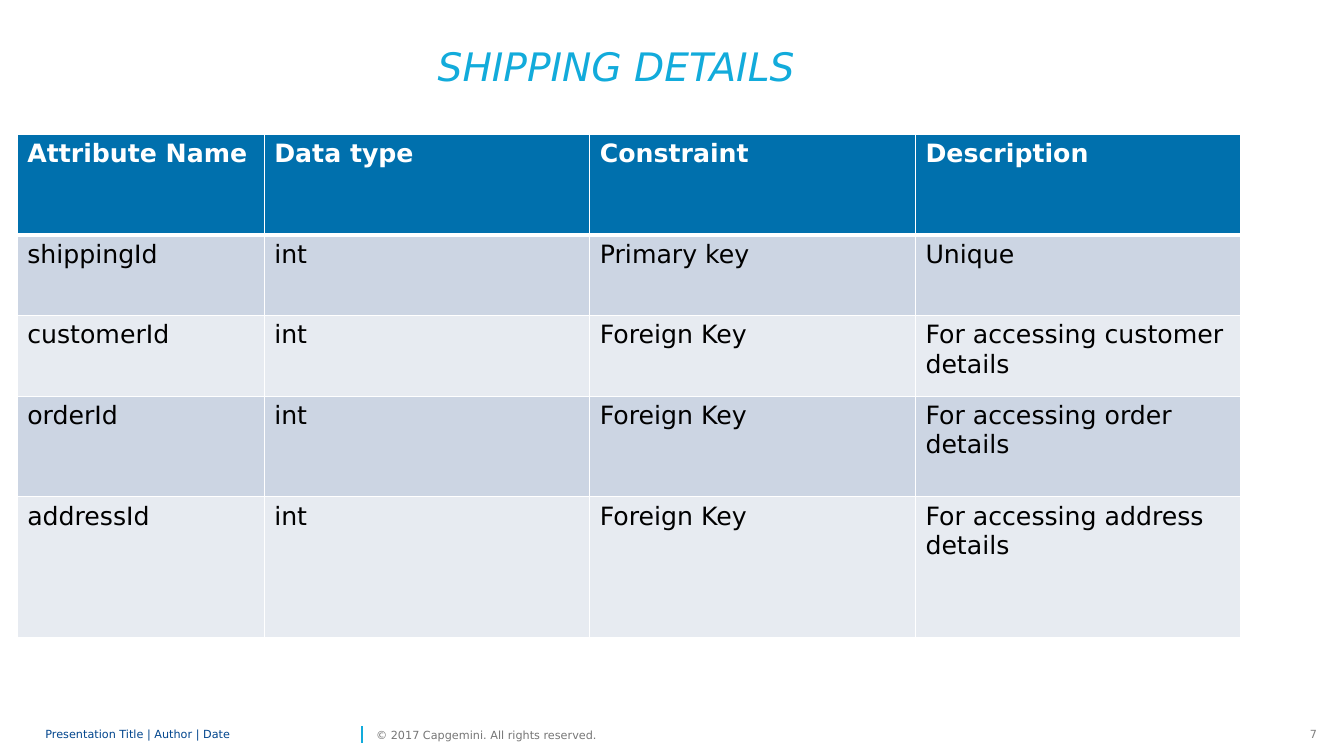
from dataclasses import dataclass, field

from lxml.etree import SubElement
from pptx import Presentation
from pptx.dml.color import RGBColor
from pptx.enum.shapes import MSO_CONNECTOR
from pptx.enum.text import MSO_ANCHOR, PP_ALIGN
from pptx.oxml import parse_xml
from pptx.oxml.ns import nsdecls, qn
from pptx.util import Inches, Pt

WIDE, HIGH = Inches(13.33), Inches(7.5)
FACE = "DejaVu Sans"
HUES = {
    "sky": "12ABDB", "navy": "00458D", "gray": "808080", "ash": "767676",
    "head": "0070AD", "odd": "CCD5E3", "even": "E7EBF1",
    "white": "FFFFFF", "black": "000000",
}
BARE = dict.fromkeys(
    ("margin_left", "margin_right", "margin_top", "margin_bottom"), 0)

COLS = (18.38, 24.23, 24.23, 24.23)
ROWS = (13.33, 10.67, 10.67, 13.33, 18.67)
DATA = (
    ("Attribute Name", "Data type", "Constraint", "Description"),
    ("shippingId", "int", "Primary key", "Unique"),
    ("customerId", "int", "Foreign Key", "For accessing customer\ndetails"),
    ("orderId", "int", "Foreign Key", "For accessing order\ndetails"),
    ("addressId", "int", "Foreign Key", "For accessing address\ndetails"),
)


@dataclass(frozen=True)
class Box:
    x: float
    y: float
    w: float
    h: float

    def place(self) -> tuple[int, int, int, int]:
        return across(self.x), down(self.y), across(self.w), down(self.h)


@dataclass(frozen=True)
class Label:
    text: str
    box: Box
    hue: str
    size: float = 8
    frame: dict = field(default_factory=dict)
    para: dict = field(default_factory=dict)
    font: dict = field(default_factory=dict)


TITLE = Label(
    "SHIPPING DETAILS", Box(23.11, 7.73, 45.46, 6.4), "sky", 28,
    {**BARE, "vertical_anchor": MSO_ANCHOR.TOP, "word_wrap": True},
    {"alignment": PP_ALIGN.CENTER, "line_spacing": Pt(22),
     "space_before": Pt(0), "space_after": Pt(6)},
    {"italic": True})
NOTES = (
    Label("7", Box(96.7, 95.6, 2.03, 3.2), "gray",
          frame={"word_wrap": False}, para={"alignment": PP_ALIGN.RIGHT}),
    Label("Presentation Title | Author | Date",
          Box(3.38, 95.6, 23.18, 3.2), "navy",
          frame={**BARE, "vertical_anchor": MSO_ANCHOR.MIDDLE,
                 "word_wrap": True},
          para={"line_spacing": 0.85}),
    Label("© 2017 Capgemini. All rights reserved.",
          Box(27.98, 95.6, 18.23, 3.2), "ash",
          frame={**BARE, "vertical_anchor": MSO_ANCHOR.MIDDLE,
                 "word_wrap": False}),
)


def across(share: float) -> int:
    return round(WIDE * share / 100)


def down(share: float) -> int:
    return round(HIGH * share / 100)


def tint(name: str) -> RGBColor:
    return RGBColor.from_string(HUES[name])


def apply(item, values: dict) -> None:
    for key, value in values.items():
        setattr(item, key, value)


def style(font, hue: str, size: float, values: dict) -> None:
    apply(font, {"name": FACE, "size": Pt(size), **values})
    font.color.rgb = tint(hue)


def write(shape, label: Label) -> None:
    apply(shape, dict(zip(("left", "top", "width", "height"),
                          label.box.place())))
    frame = shape.text_frame
    frame.text = label.text
    apply(frame, label.frame)
    para = frame.paragraphs[0]
    apply(para, label.para)
    style(para.runs[0].font, label.hue, label.size, label.font)


def rule(slide, x: float, start: float, end: float) -> None:
    line = slide.shapes.add_connector(
        MSO_CONNECTOR.STRAIGHT, across(x), down(start), across(x), down(end))
    line.line.color.rgb = tint("sky")
    line.line.width = Pt(1)
    SubElement(line._element.spPr, qn("a:effectLst"))


def edge(cell, row: int) -> None:
    props = cell._tc.get_or_add_tcPr()
    wide = {"T": 3 if row == 1 else 1, "B": 3 if row == 0 else 1}
    for spot, side in enumerate("LRTB"):
        props.insert(spot, parse_xml(
            f'<a:ln{side} {nsdecls("a")} w="{Pt(wide.get(side, 1))}">'
            f'<a:solidFill><a:srgbClr val="{HUES["white"]}"/></a:solidFill>'
            f'</a:ln{side}>'))


def grid(slide) -> None:
    box = Box(1.28, 17.73, sum(COLS), sum(ROWS))
    table = slide.shapes.add_table(
        len(ROWS), len(COLS), *box.place()).table
    for col, share in zip(table.columns, COLS):
        col.width = across(share)
    for row, share in zip(table.rows, ROWS):
        row.height = down(share)
    for r, texts in enumerate(DATA):
        head = r == 0
        fill = "head" if head else ("even", "odd")[r % 2]
        for c, text in enumerate(texts):
            cell = table.cell(r, c)
            cell.text = text
            cell.fill.solid()
            cell.fill.fore_color.rgb = tint(fill)
            edge(cell, r)
            for para in cell.text_frame.paragraphs:
                style(para.runs[0].font, "white" if head else "black", 18,
                      {"bold": head})


def main() -> None:
    deck = Presentation()
    apply(deck, {"slide_width": WIDE, "slide_height": HIGH})
    slide = deck.slides.add_slide(deck.slide_layouts[5])
    for note in NOTES:
        write(slide.shapes.add_textbox(*note.box.place()), note)
    rule(slide, 26.93, 98.27, 96)
    write(slide.shapes.title, TITLE)
    grid(slide)
    deck.save("out.pptx")


if __name__ == "__main__":
    main()
